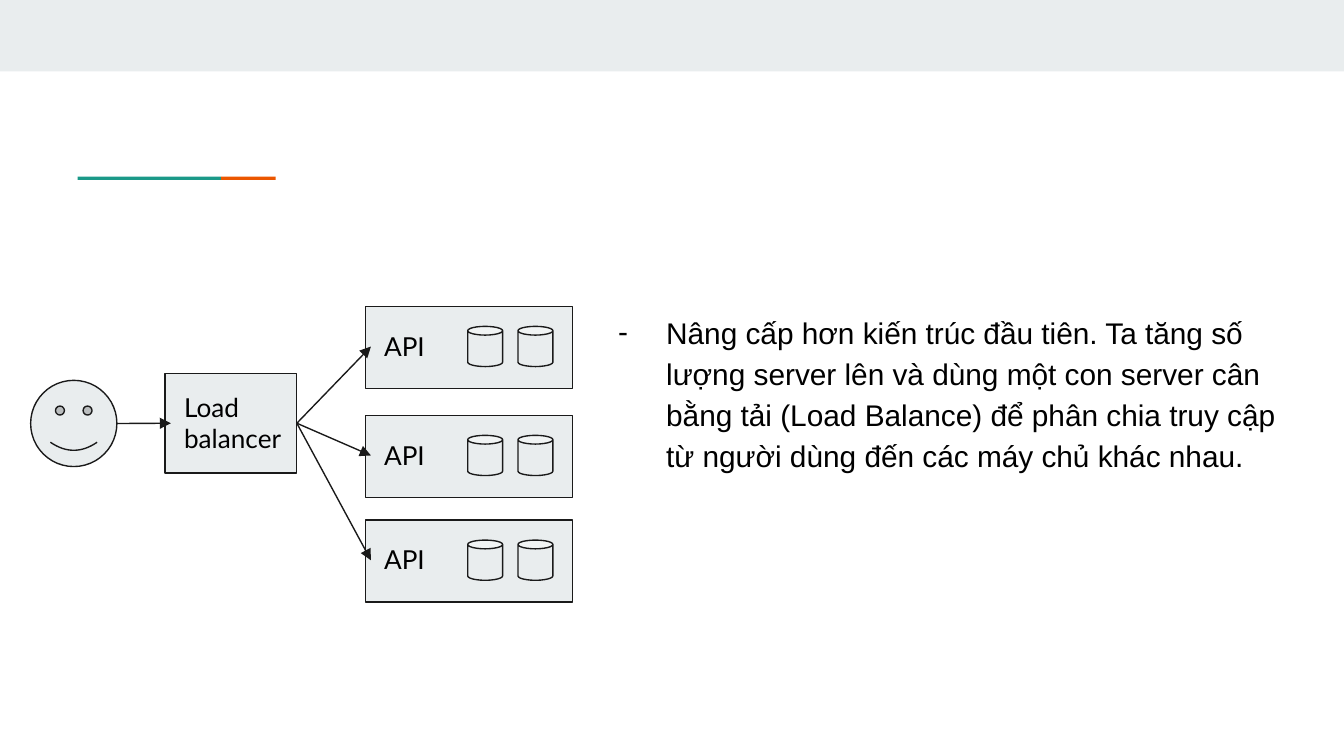
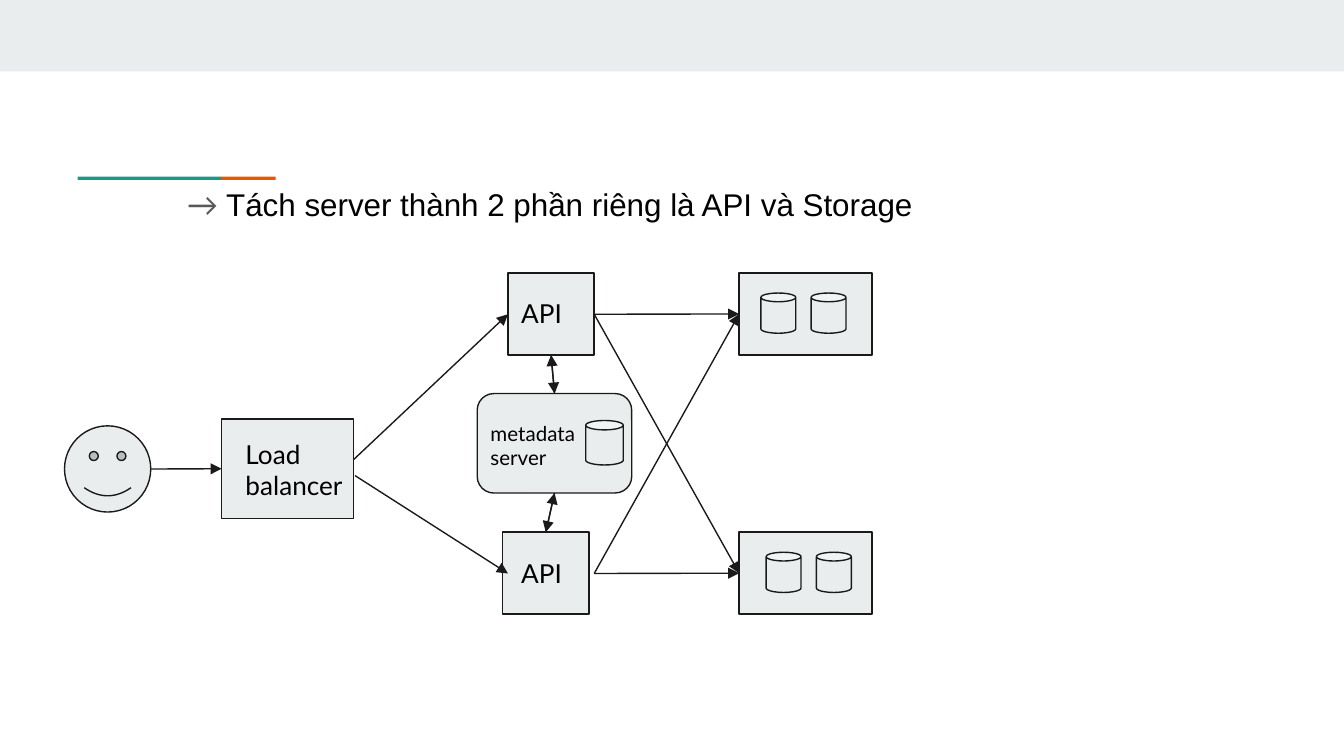
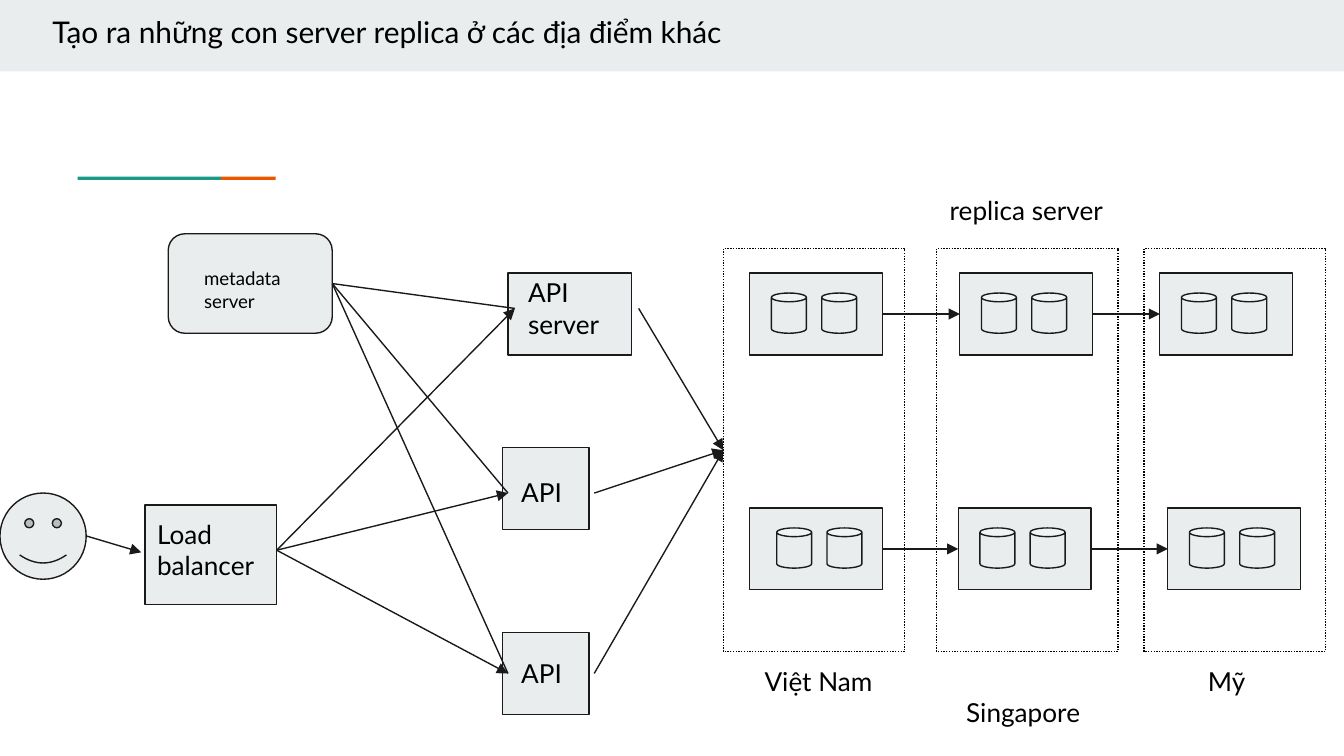
from lxml.etree import SubElement
from pptx import Presentation
from pptx.dml.color import RGBColor
from pptx.enum.dml import MSO_LINE
from pptx.enum.shapes import MSO_CONNECTOR, MSO_SHAPE as SHAPE
from pptx.enum.text import MSO_ANCHOR as ANCHOR, MSO_AUTO_SIZE as AUTO, PP_ALIGN as ALIGN
from pptx.oxml.ns import qn
from pptx.util import Cm, Pt

PALE, INK, BLACK = "E9EDEE", "1A1A1A", "000000"
TEAL, ORANGE, GREY = "1A9988", "EB5600", "595959"
TITLE_AND_BODY, TITLE_ONLY = 1, 5
TOP, LEFT, BOTTOM, RIGHT = range(4)
FACE = 1.63
BALANCER_W, TALL = 2.49, 1.88
API_W, STORAGE_W, LOW = 1.63, 2.51, 1.55
DISK_W, DISK_H, DISK_STEP = 0.66, 0.76, 0.95
INSET = 0.25


def paint(color, value):
    color.rgb = RGBColor.from_string(value)


def cms(*lengths):
    return [Cm(length) for length in lengths]


def draw(slide, kind, box, fill=PALE, line=INK, dash=None):
    part = slide.shapes.add_shape(kind, *cms(*box))
    part.shadow.inherit = False
    if fill:
        part.fill.solid()
        paint(part.fill.fore_color, fill)
    else:
        part.fill.background()
    if line:
        paint(part.line.color, line)
        part.line.width = Pt(0.75)
        part.line.dash_style = dash
    else:
        part.line.fill.background()
    return part


def prepare(frame):
    frame.word_wrap = True
    frame.auto_size = AUTO.NONE
    frame.vertical_anchor = ANCHOR.TOP
    frame.margin_left = frame.margin_right = Cm(INSET)
    frame.margin_top = frame.margin_bottom = Cm(INSET)


def add_run(paragraph, text, size, font="Lato", color=BLACK):
    run = paragraph.add_run()
    run.text = text
    run.font.size = Pt(size)
    run.font.name = font
    paint(run.font.color, color)


def write(frame, lines, size):
    prepare(frame)
    for index, line in enumerate(lines):
        paragraph = frame.add_paragraph() if index else frame.paragraphs[0]
        paragraph.alignment = ALIGN.LEFT
        add_run(paragraph, line, size)


def label(slide, box, *lines, size=14):
    caption = slide.shapes.add_textbox(*cms(*box))
    write(caption.text_frame, lines, size)
    return caption


def place(placeholder, box):
    placeholder.left, placeholder.top, placeholder.width, placeholder.height = cms(*box)


def link(slide, start, end, arrow=True):
    line = slide.shapes.add_connector(MSO_CONNECTOR.STRAIGHT, 0, 0, 0, 0)
    if isinstance(start[0], (int, float)):
        line.begin_x, line.begin_y = cms(*start)
    else:
        line.begin_connect(*start)
    line.end_x, line.end_y = line.begin_x, line.begin_y
    if isinstance(end[0], (int, float)):
        line.end_x, line.end_y = cms(*end)
    else:
        line.end_connect(*end)
    paint(line.line.color, INK)
    line.line.width = Pt(0.75)
    if arrow:
        SubElement(line.line._get_or_add_ln(), qn("a:tailEnd"), type="triangle")
    SubElement(line._element.spPr, qn("a:effectLst"))


def user(slide, x, y):
    draw(slide, SHAPE.SMILEY_FACE, (x, y, FACE, FACE))
    return x + FACE, y + FACE / 2


def balancer(slide, x, y, label_dx, label_dy, label_w):
    box = draw(slide, SHAPE.RECTANGLE, (x, y, BALANCER_W, TALL))
    caption = label(slide, (x + label_dx, y + label_dy, label_w, 1.7), "Load balancer")
    return box, caption


def disks(slide, x, y):
    for index in range(2):
        draw(slide, SHAPE.CAN, (x + index * DISK_STEP, y, DISK_W, DISK_H))


def storage(slide, x, y, disk_dx=0.41):
    box = draw(slide, SHAPE.RECTANGLE, (x, y, STORAGE_W, LOW))
    disks(slide, x + disk_dx, y + 0.38)
    return box


def api(slide, x, y, label_dx=0.1, label_dy=0.22, width=API_W):
    box = draw(slide, SHAPE.RECTANGLE, (x, y, width, LOW))
    caption = label(slide, (x + label_dx, y + label_dy, API_W, 1.12), "API")
    return box, caption


def metadata(slide, box, label_box, *lines, size):
    server = draw(slide, SHAPE.ROUNDED_RECTANGLE, box)
    x, y, width, height = label_box
    label(slide, (box[0] + x, box[1] + y, width, height), *lines, size=size)
    return server


def new_slide(deck, layout):
    slide = deck.slides.add_slide(deck.slide_layouts[layout])
    for box, color in (
        ((0, 0, 25.4, 1.35), PALE),
        ((1.47, 3.34, 2.71, 0.06), TEAL),
        ((4.18, 3.34, 1.03, 0.06), ORANGE),
    ):
        draw(slide, SHAPE.RECTANGLE, box, color, None)
    return slide


def body(slide, box, runs, indent, spacing, after=0, bullet=None):
    heading = slide.shapes.title._element
    heading.getparent().remove(heading)
    placeholder = slide.placeholders[1]
    place(placeholder, box)
    prepare(placeholder.text_frame)
    paragraph = placeholder.text_frame.paragraphs[0]
    paragraph.line_spacing = spacing
    paragraph.space_before, paragraph.space_after = Pt(0), Pt(after)
    props = paragraph._p.get_or_add_pPr()
    props.set("marL", str(Cm(1.27)))
    props.set("indent", str(Cm(indent)))
    if bullet:
        SubElement(SubElement(props, qn("a:buClr")), qn("a:srgbClr"), val=BLACK)
        SubElement(props, qn("a:buFont"), typeface="Arial")
        SubElement(props, qn("a:buChar"), char=bullet)
    else:
        SubElement(props, qn("a:buNone"))
    for run in runs:
        add_run(paragraph, *run)


def scaled_servers(deck):
    slide = new_slide(deck, TITLE_AND_BODY)
    upgrade = (
        "Nâng cấp hơn kiến trúc đầu tiên. Ta tăng số lượng server lên và dùng "
        "một con server cân bằng tải (Load Balance) để phân chia truy cập từ "
        "người dùng đến các máy chủ khác nhau."
    )
    body(slide, (11.07, 5.59, 13.61, 5.38), [(upgrade, 16, "Arial")], -0.91, 1.15, bullet="-")
    visitor = user(slide, 0.58, 7.19)
    spreader, spreader_label = balancer(slide, 3.12, 7.06, 0.11, 0.09, 2.36)
    link(slide, visitor, (spreader_label, LEFT))
    for y in (5.79, 7.85, 9.83):
        _, api_label = api(slide, 6.91, y, label_dy=0.2, width=3.91)
        disks(slide, 6.91 + 1.93, y + 0.38)
        link(slide, (spreader, RIGHT), (api_label, LEFT))


def split_servers(deck):
    slide = new_slide(deck, TITLE_AND_BODY)
    body(slide, (2.01, 3.3, 20.57, 1.12), [
        ("→ ", 16.8, "Lato", GREY),
        ("Tách server thành 2 phần riêng là API và Storage", 16.8, "Arial"),
    ], 0, 0.95, after=12)
    visitor = user(slide, 1.22, 8.05)
    spreader, _ = balancer(slide, 4.19, 7.92, 0.2, 0.11, 3.1)
    upper, upper_label = api(slide, 9.6, 5.16, label_dx=0)
    lower, lower_label = api(slide, 9.5, 10.06)
    stores = [storage(slide, 13.97, 5.16), storage(slide, 13.97, 10.06, 0.51)]
    index_server = metadata(
        slide, (9.02, 7.44, 2.92, TALL), (0, 0.26, 2.29, 1.45), "metadata server", size=11
    )
    draw(slide, SHAPE.CAN, (11.07, 7.95, 0.71, 0.84))
    link(slide, visitor, (spreader, LEFT))
    link(slide, (6.68, 8.69), (upper_label, LEFT))
    link(slide, (6.71, 8.99), (lower_label, LEFT))
    for api_label in (upper_label, lower_label):
        for store in stores:
            link(slide, (api_label, RIGHT), (store, LEFT))
    for hub, spoke in (
        ((index_server, TOP), (upper, BOTTOM)),
        ((index_server, BOTTOM), (lower, TOP)),
    ):
        link(slide, hub, spoke)
        link(slide, spoke, hub)


def replica_regions(slide):
    regions = [
        draw(slide, SHAPE.RECTANGLE, (x, 4.7, 3.43, 7.62), None, BLACK, MSO_LINE.ROUND_DOT)
        for x in (13.67, 17.7, 21.62)
    ]
    for y, columns, first_dx in (
        (5.16, (14.17, 18.14, 21.92), 0.41),
        (9.6, (14.17, 18.11, 22.07), 0.51),
    ):
        stores = [
            storage(slide, x, y, 0.41 if index else first_dx)
            for index, x in enumerate(columns)
        ]
        for source, replica in zip(stores, stores[1:]):
            link(slide, (source, RIGHT), (replica, LEFT))
    for place_name, x, y, width in (
        ("Việt Nam", 14.2, 12.32, 2.87),
        ("Singapore", 18.01, 12.92, 2.92),
        ("Mỹ", 22.58, 12.32, 1.47),
    ):
        label(slide, (x, y, width, 1.12), place_name)
    label(slide, (17.7, 3.43, 3.91, 1.12), "replica server")
    return regions[0]


def replicated_servers(deck):
    slide = new_slide(deck, TITLE_ONLY)
    title = slide.shapes.title
    place(title, (0.74, 0, 14.5, 1.19))
    write(title.text_frame, ["Tạo ra những con server replica ở các địa điểm khác"], 16)
    tree = title._element.getparent()
    tree.append(title._element)

    user(slide, 0, 9.32)
    _, spreader_label = balancer(slide, 2.74, 9.55, -0.02, 0, 2.51)
    index_server = metadata(
        slide, (3.18, 4.42, 3.1, TALL), (0.43, 0.38, 2.08, 1.37), "metadata", "server", size=10
    )
    home_region = replica_regions(slide)
    draw(slide, SHAPE.RECTANGLE, (9.6, 5.16, 2.34, LOW))
    api_labels = [label(slide, (9.73, 4.98, 2.34, 1.7), "API", "server")]
    for y, label_dy in ((8.46, 0.3), (11.96, 0.21)):
        _, api_label = api(slide, 9.5, y, label_dy=label_dy)
        api_labels.append(api_label)
    link(slide, (1.63, 10.13), (2.67, 10.44))
    for api_label in api_labels:
        link(slide, (spreader_label, RIGHT), (api_label, LEFT))
        link(slide, (api_label, RIGHT), (home_region, LEFT))
        link(slide, (index_server, RIGHT), (api_label, LEFT), arrow=False)


def main():
    deck = Presentation()
    deck.slide_width, deck.slide_height = cms(25.4, 14.29)
    scaled_servers(deck)
    split_servers(deck)
    replicated_servers(deck)
    deck.save("out.pptx")


if __name__ == "__main__":
    main()
